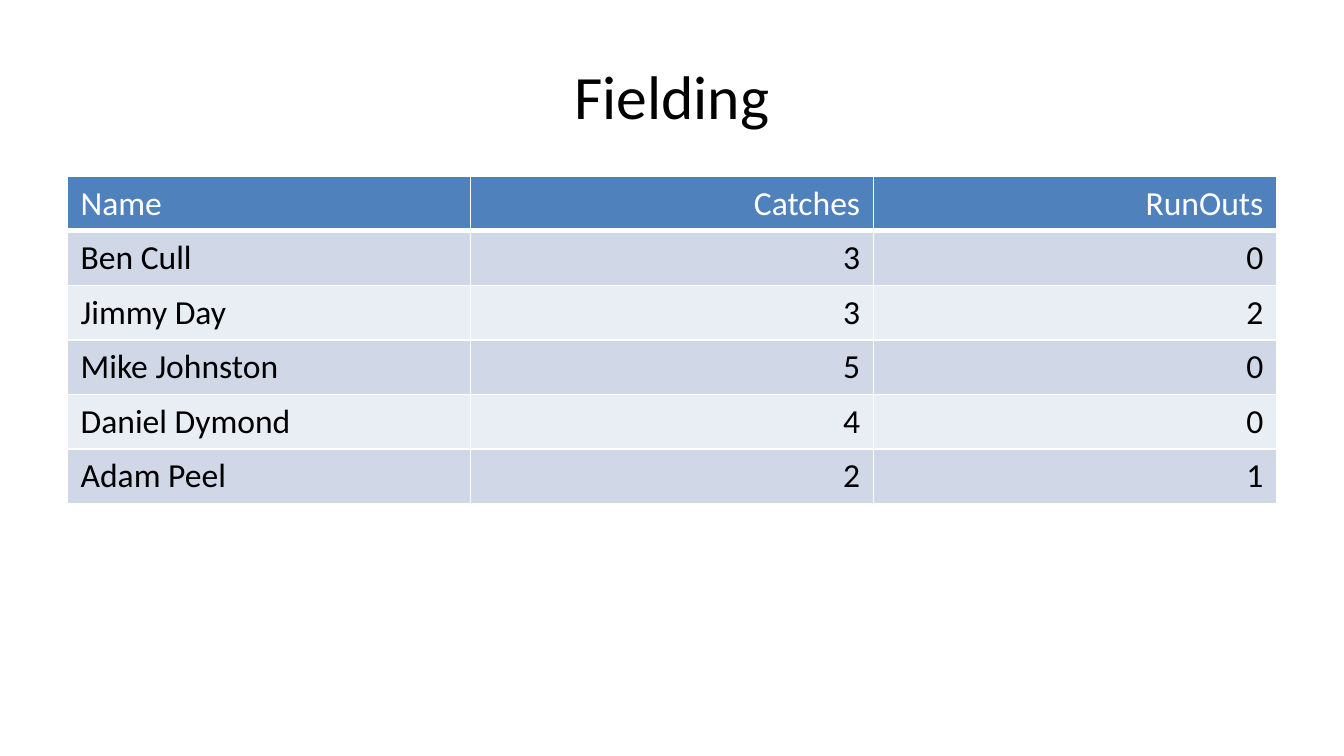
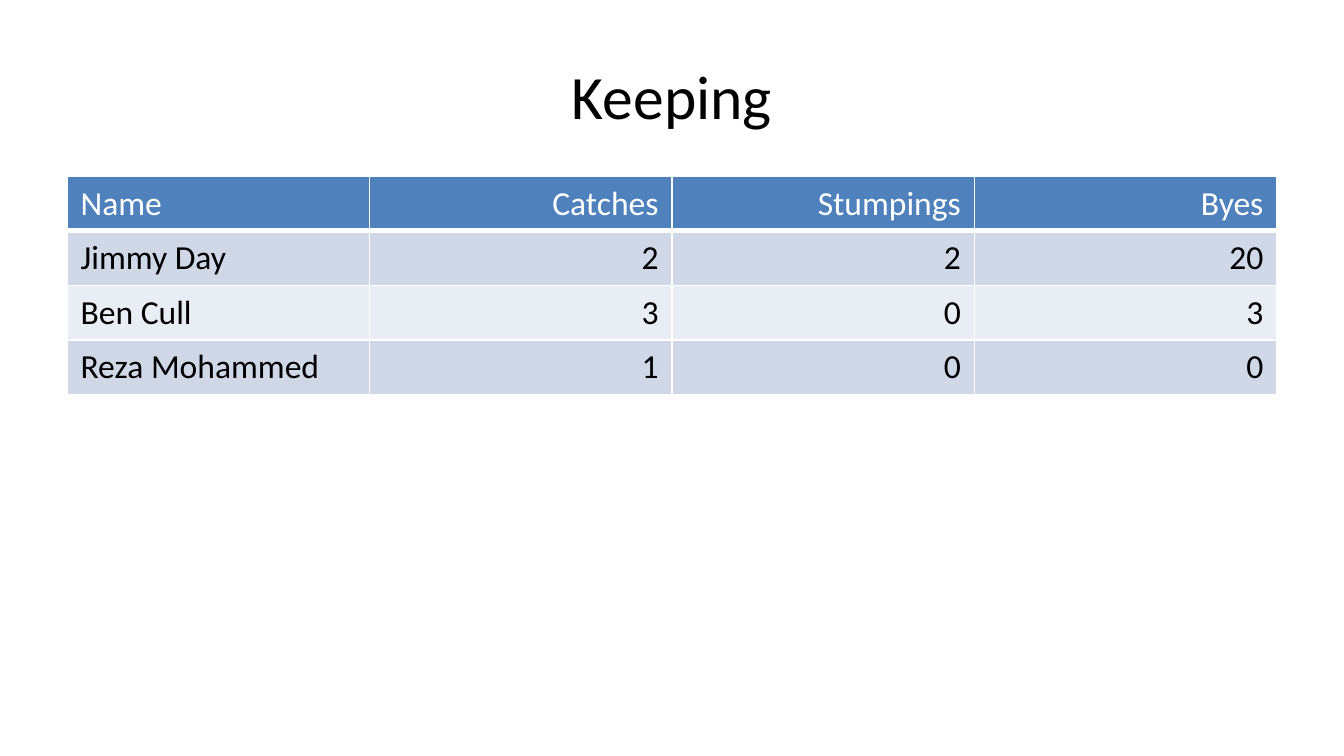
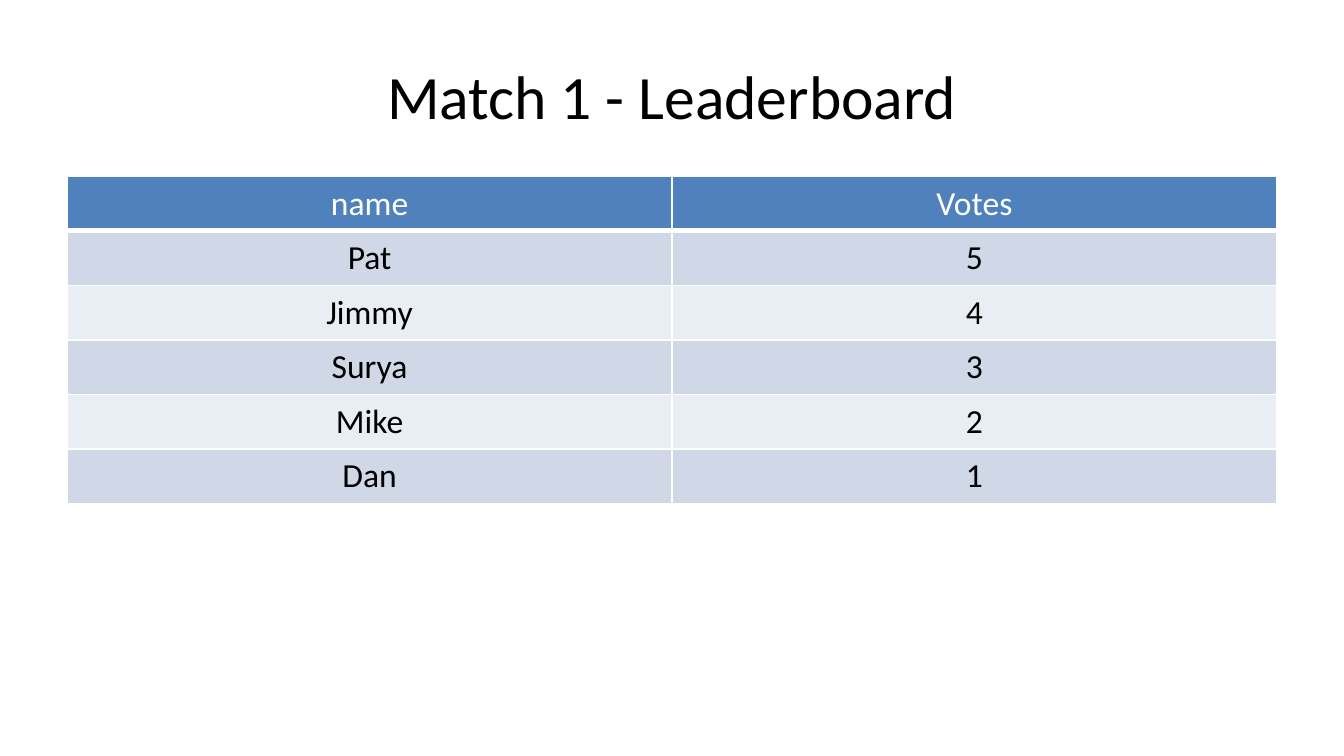
import pptx
import pptx.dml.color
import pptx.enum.text
import pptx.util
from lxml import etree
from pptx.oxml.ns import qn

# Shared palette and text style
WHITE = pptx.dml.color.RGBColor(0xFF, 0xFF, 0xFF)
BLACK = pptx.dml.color.RGBColor(0x00, 0x00, 0x00)
HEADER_BLUE = pptx.dml.color.RGBColor(0x4F, 0x81, 0xBD)
BAND_DARK = pptx.dml.color.RGBColor(0xD0, 0xD8, 0xE8)
BAND_LIGHT = pptx.dml.color.RGBColor(0xE9, 0xED, 0xF4)
FONT = "Calibri"
TITLE_SIZE = 33
CELL_SIZE = 18

LEFT = pptx.enum.text.PP_ALIGN.LEFT
CENTER = pptx.enum.text.PP_ALIGN.CENTER
RIGHT = pptx.enum.text.PP_ALIGN.RIGHT

# Page grid: 20 columns by 24 rows
GRID_COLUMNS, GRID_ROWS = 20, 24
TITLE_AREA = (1, 1, 18, 4)
TABLE_AREA = (1, 5.6, 18, 15.85)


class Deck:
    def __init__(self):
        self.presentation = pptx.Presentation()
        self.presentation.slide_width = pptx.util.Inches(10)
        self.presentation.slide_height = pptx.util.Inches(5.625)
        self.layout = self.presentation.slide_layouts.get_by_name("Title Only")
        self.slide = None

    def area(self, column, row, columns, rows):
        """Turn a grid area into left, top, width and height."""
        across = self.presentation.slide_width / GRID_COLUMNS
        down = self.presentation.slide_height / GRID_ROWS
        return [int(length) for length in
                (column * across, row * down, columns * across, rows * down)]

    def add_text(self, frame, text, size, color, align):
        paragraph = frame.paragraphs[0]
        paragraph.alignment = align
        run = paragraph.add_run()
        run.text = text
        run.font.name = FONT
        run.font.size = pptx.util.Pt(size)
        run.font.bold = False
        run.font.color.rgb = color

    def add_slide(self, heading):
        self.slide = self.presentation.slides.add_slide(self.layout)
        title = self.slide.shapes.title
        title.left, title.top, title.width, title.height = self.area(*TITLE_AREA)
        title.text_frame.vertical_anchor = pptx.enum.text.MSO_ANCHOR.MIDDLE
        self.add_text(title.text_frame, heading, TITLE_SIZE, BLACK, CENTER)

    def add_borders(self, cell, bottom):
        properties = cell._tc.get_or_add_tcPr()
        widths = {"a:lnL": 1, "a:lnR": 1, "a:lnT": 1, "a:lnB": bottom}
        for position, (side, width) in enumerate(widths.items()):
            line = etree.Element(qn(side), w=str(int(pptx.util.Pt(width))))
            fill = etree.SubElement(line, qn("a:solidFill"))
            etree.SubElement(fill, qn("a:srgbClr"), val=str(WHITE))
            properties.insert(position, line)

    def add_score_table(self, records, alignments):
        left, top, width, height = self.area(*TABLE_AREA)
        frame = self.slide.shapes.add_table(
            len(records), len(alignments), left, top, width, height)
        scores = frame.table
        for row, record in enumerate(records):
            # Each row grows to fit its text
            scores.rows[row].height = 0
            is_header = row == 0
            band = BAND_DARK if row % 2 else BAND_LIGHT
            for column, (entry, align) in enumerate(zip(record, alignments)):
                cell = scores.cell(row, column)
                cell.fill.solid()
                cell.fill.fore_color.rgb = HEADER_BLUE if is_header else band
                self.add_borders(cell, bottom=3 if is_header else 1)
                self.add_text(cell.text_frame, entry, CELL_SIZE,
                              WHITE if is_header else BLACK, align)
        frame.height = height


FIELDING = [
    ("Name", "Catches", "RunOuts"),
    ("Ben Cull", "3", "0"),
    ("Jimmy Day", "3", "2"),
    ("Mike Johnston", "5", "0"),
    ("Daniel Dymond", "4", "0"),
    ("Adam Peel", "2", "1"),
]
KEEPING = [
    ("Name", "Catches", "Stumpings", "Byes"),
    ("Jimmy Day", "2", "2", "20"),
    ("Ben Cull", "3", "0", "3"),
    ("Reza Mohammed", "1", "0", "0"),
]
LEADERBOARD = [
    ("name", "Votes"),
    ("Pat", "5"),
    ("Jimmy", "4"),
    ("Surya", "3"),
    ("Mike", "2"),
    ("Dan", "1"),
]


def main():
    deck = Deck()

    # Fielding
    deck.add_slide("Fielding")
    deck.add_score_table(FIELDING, [LEFT, RIGHT, RIGHT])

    # Wicket keeping
    deck.add_slide("Keeping")
    deck.add_score_table(KEEPING, [LEFT, RIGHT, RIGHT, RIGHT])

    # Votes after the first match
    deck.add_slide("Match 1 - Leaderboard")
    deck.add_score_table(LEADERBOARD, [CENTER, CENTER])

    deck.presentation.save("out.pptx")


if __name__ == "__main__":
    main()
